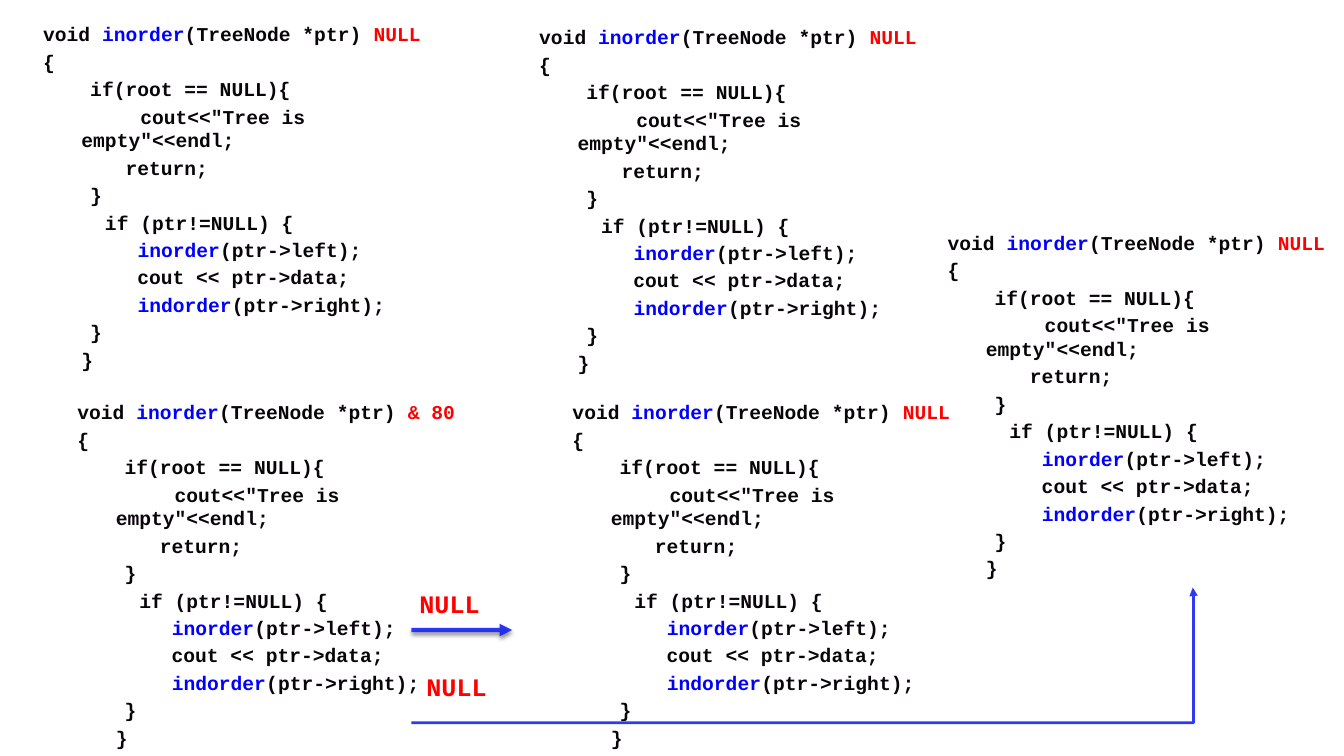
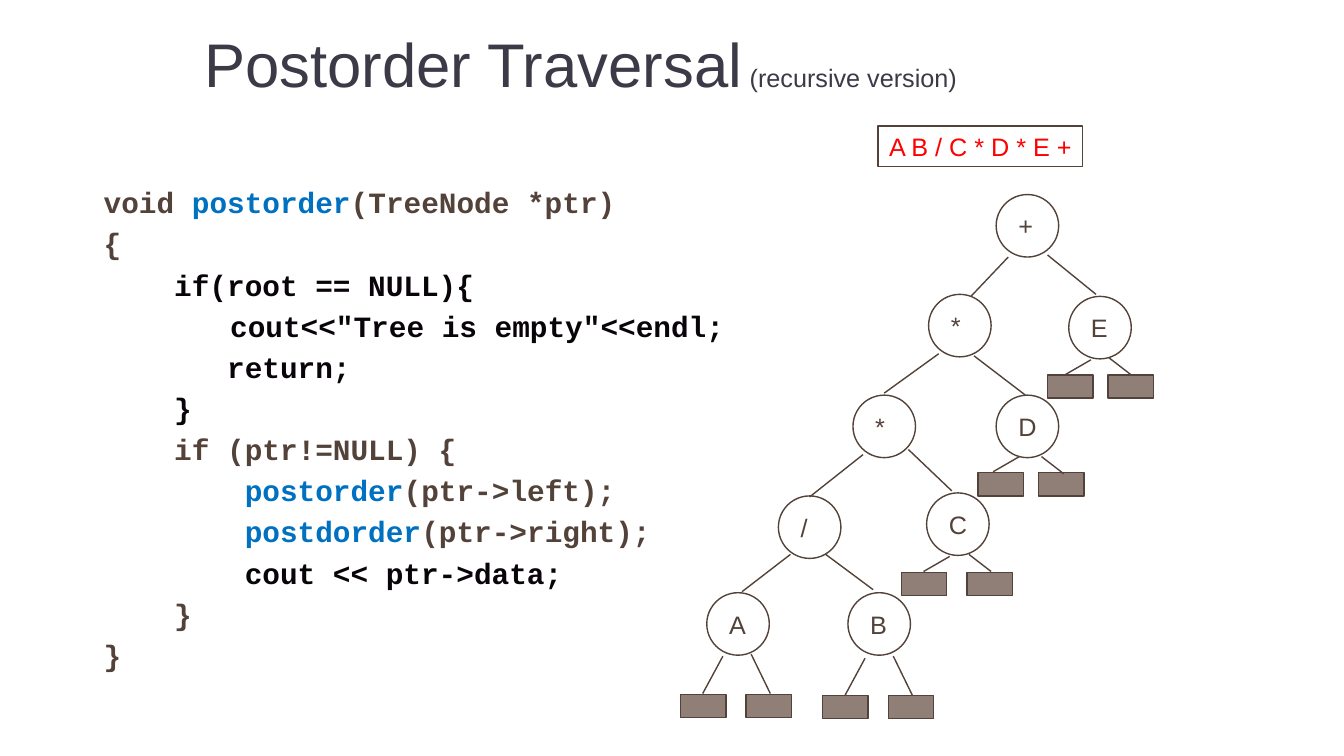
"""Build two slides on recursive tree traversal: inorder calls and postorder code with its tree."""
from dataclasses import dataclass

from lxml import etree
from pptx import Presentation
from pptx.dml.color import RGBColor
from pptx.enum import shapes, text
from pptx.oxml import ns, parse_xml
from pptx.util import Inches, Pt


@dataclass(frozen=True)
class Theme:
    ink: str = "090409"
    brown: str = "534239"
    taupe: str = "907F76"
    title: str = "3D3A48"
    red: str = "FF0000"
    call_blue: str = "0000FF"
    post_blue: str = "0070C0"
    arrow_blue: str = "1724F2"
    sans: str = "Arial"
    mono: str = "Courier New"
    title_size: int = 44
    label_size: int = 18
    code_size: int = 21
    small_code_size: int = 14


theme = Theme()


def write(frame, lines, size, face=theme.mono, code=False, **frame_format):
    """Fill a text frame with lines of (text, colour[, size]) runs."""
    for name, value in frame_format.items():
        setattr(frame, name, value)
    for number, line in enumerate(lines):
        paragraph = frame.add_paragraph() if number else frame.paragraphs[0]
        if code:
            properties = paragraph._p.get_or_add_pPr()
            properties.set("marL", str(Inches(0.38)))
            properties.set("indent", str(Inches(-0.38)))
            paragraph.line_spacing = Pt(size * 1.2)
            if number:
                paragraph.space_before = Pt(size * 0.2)
        for words, colour, *own_size in line:
            run = paragraph.add_run()
            run.text = words
            font_format = {"name": face, "size": Pt(own_size[0] if own_size else size),
                           "bold": face == theme.mono}
            for name, value in font_format.items():
                setattr(run.font, name, value)
            run.font.color.rgb = RGBColor.from_string(colour)


def connect(slide, kind, ends, colour, width, arrow=False, shadow=""):
    """Draw a connector between two points, with an optional arrowhead and shadow."""
    connector = slide.shapes.add_connector(kind, *map(Inches, ends))
    connector.line.color.rgb = RGBColor.from_string(colour)
    connector.line.width = Pt(width)
    properties = connector._element.spPr
    if arrow:
        line = connector.line._ln
        tint = line.find(".//" + ns.qn("a:srgbClr"))
        etree.SubElement(tint, ns.qn("a:alpha"), val="90000")
        etree.SubElement(line, ns.qn("a:tailEnd"), type="triangle")
    properties.append(parse_xml(f"<a:effectLst {ns.nsdecls('a')}>{shadow}</a:effectLst>"))
    return connector


deck = Presentation()
deck.slide_width, deck.slide_height = Inches(13.33), Inches(7.5)
straight, elbow = shapes.MSO_CONNECTOR.STRAIGHT, shapes.MSO_CONNECTOR.ELBOW

calls = deck.slides.add_slide(deck.slide_layouts[6])
guard = [
    [("    if(root == NULL){", theme.ink)],
    [('\t     cout<<"Tree is empty"<<endl;', theme.ink)],
    [("       return;", theme.ink)],
    [("    }", theme.ink)],
]
inorder_body = [
    [("{", theme.ink)],
    *guard,
    [("\t  if (ptr!=NULL) {", theme.ink)],
    [("        ", theme.ink), ("inorder", theme.call_blue), ("(ptr->left);", theme.ink)],
    [("        cout << ptr->data;", theme.ink)],
    [("        ", theme.ink), ("indorder", theme.call_blue), ("(ptr->right);", theme.ink)],
    [("    }", theme.ink)],
    [("\t}", theme.ink)],
]
for left, top, argument in [(0.33, 0.17, "NULL"), (5.25, 0.2, "NULL"), (0.67, 3.92, "& 80"),
                            (5.58, 3.92, "NULL"), (9.3, 2.24, "NULL")]:
    call = calls.shapes.add_textbox(Inches(left), Inches(top), Inches(4), Inches(3.42))
    signature = [("void ", theme.ink), ("inorder", theme.call_blue),
                 ("(TreeNode *ptr) ", theme.ink), (argument, theme.red)]
    write(call.text_frame, [signature, *inorder_body], theme.small_code_size,
          code=True, word_wrap=True)

soft_shadow = ('<a:outerShdw blurRad="38100" dist="25400" dir="5400000" rotWithShape="0">'
               '<a:srgbClr val="000000"><a:alpha val="50000"/></a:srgbClr></a:outerShdw>')
connect(calls, straight, (4.08, 6.25, 5.08, 6.25), theme.arrow_blue, 3, True, soft_shadow)
right_call = connect(calls, elbow, (4.08, 7.17, 11.83, 5.83), theme.arrow_blue, 2, True)
bend = right_call._element.spPr.find(ns.qn("a:prstGeom")).find(ns.qn("a:avLst"))
etree.SubElement(bend, ns.qn("a:gd"), name="adj1", fmla="val 100100")

for left, top in [(4.06, 5.79), (4.13, 6.61)]:
    passed = calls.shapes.add_textbox(Inches(left), Inches(top), Inches(0.81), Inches(0.4))
    write(passed.text_frame, [[("NULL", theme.red)]], theme.label_size, word_wrap=False)

postorder = deck.slides.add_slide(deck.slide_layouts[5])
heading = postorder.shapes.title
for name, value in {"left": 0.75, "top": 0, "width": 10.02, "height": 1.25}.items():
    setattr(heading, name, Inches(value))
write(heading.text_frame,
      [[("Postorder Traversal", theme.title),
        (" (recursive version)", theme.title, theme.label_size)]],
      theme.title_size, theme.sans, vertical_anchor=text.MSO_ANCHOR.MIDDLE)
heading.text_frame.paragraphs[0].alignment = text.PP_ALIGN.CENTER

listing = postorder.shapes.add_textbox(Inches(0.93), Inches(1.78), Inches(7.58), Inches(4.5))
write(listing.text_frame, [
    [("void ", theme.brown), ("postorder", theme.post_blue), ("(TreeNode *ptr)", theme.brown)],
    [("{", theme.brown)],
    *guard,
    [("    if (ptr!=NULL) {", theme.brown)],
    [("        postorder", theme.post_blue), ("(ptr->left);", theme.brown)],
    [("        postdorder", theme.post_blue), ("(ptr->right);", theme.brown)],
    [("        cout << ptr->data;", theme.ink)],
    [("    }", theme.brown)],
    [("}", theme.brown)],
], theme.code_size, code=True, word_wrap=True)

oval, box = shapes.MSO_SHAPE.OVAL, shapes.MSO_SHAPE.RECTANGLE
result = "A B / C * D * E +"
nodes = [("+", 9.88, 1.93), ("*", 9.21, 2.92), ("*", 8.46, 3.92), ("/", 7.72, 4.92),
         ("A", 7.01, 5.88), ("B", 8.41, 5.88), ("C", 9.19, 4.89), ("D", 9.88, 3.92),
         ("E", 10.6, 2.94)]
null_pairs = [(6.75, 6.89, 0.65), (8.16, 6.9, 0.65), (8.94, 5.68, 0.65),
              (9.7, 4.69, 0.6), (10.39, 3.72, 0.6)]
outlines = [(oval, left, top, 0.62, 0.62, label) for label, left, top in nodes]
outlines += [(box, left + step, top, 0.45, 0.23, "")
             for left, top, gap in null_pairs for step in (0, gap)]
outlines.append((box, 8.71, 1.25, 2.03, 0.4, result))

for kind, left, top, width, height, label in outlines:
    part = postorder.shapes.add_shape(kind, *map(Inches, (left, top, width, height)))
    part.shadow.inherit = False
    part.line.color.rgb = RGBColor.from_string(theme.brown)
    part.line.width = Pt(1)
    if not label:
        part.fill.solid()
        part.fill.fore_color.rgb = RGBColor.from_string(theme.taupe)
        continue
    part.fill.background()
    is_node = kind == oval
    write(part.text_frame, [[(label, theme.brown if is_node else theme.red)]],
          theme.label_size, theme.sans, word_wrap=is_node,
          vertical_anchor=text.MSO_ANCHOR.MIDDLE, margin_top=0, margin_bottom=0,
          margin_left=Inches(0.13 if is_node else 0.1),
          margin_right=Inches(0 if is_node else 0.1))
    part.text_frame.paragraphs[0].alignment = (
        text.PP_ALIGN.LEFT if is_node else text.PP_ALIGN.CENTER)

branches = [
    (10, 2.55, 9.63, 2.94), (10.39, 2.53, 10.87, 2.92),
    (9.31, 3.51, 8.77, 3.9), (9.66, 3.53, 10.17, 3.92),
    (8.56, 4.51, 8.03, 4.93), (9.01, 4.46, 9.44, 4.87),
    (7.84, 5.5, 7.36, 5.87), (8.19, 5.5, 8.66, 5.85),
    (7.17, 6.51, 6.97, 6.88), (7.45, 6.49, 7.64, 6.88),
    (8.58, 6.53, 8.38, 6.9), (8.86, 6.51, 9.05, 6.9),
    (9.42, 5.52, 9.16, 5.67), (9.61, 5.5, 9.83, 5.67),
    (10.11, 4.53, 9.85, 4.68), (10.33, 4.53, 10.55, 4.7),
    (10.82, 3.57, 10.56, 3.72), (11, 3.55, 11.22, 3.72),
]
for branch in branches:
    connect(postorder, straight, branch, theme.brown, 1)

deck.save("out.pptx")
